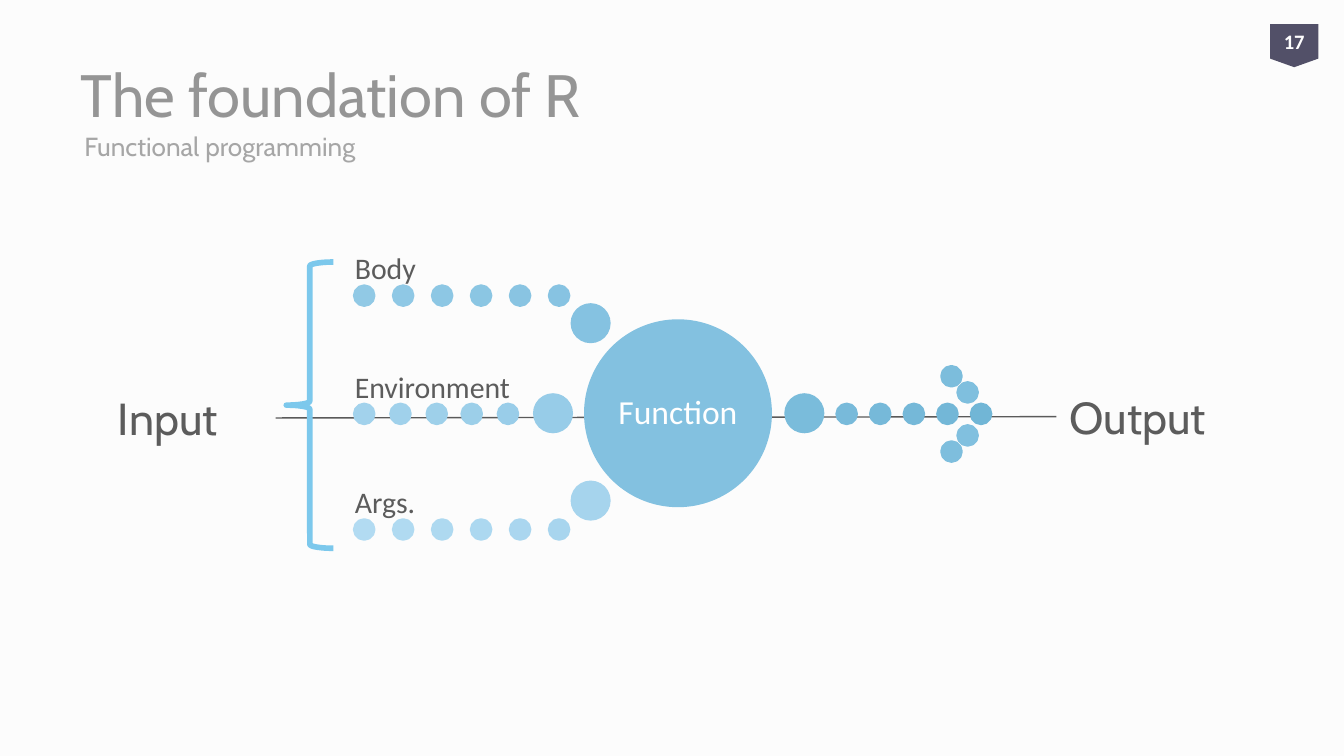
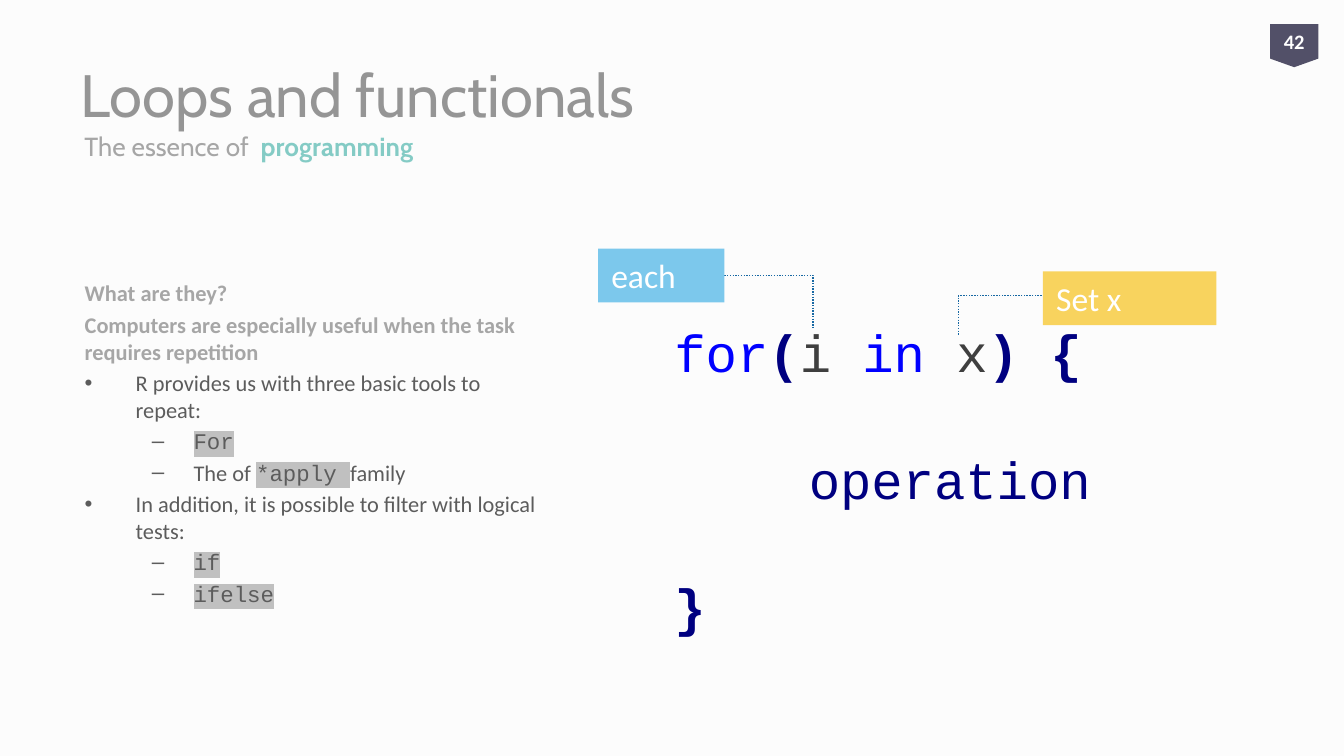
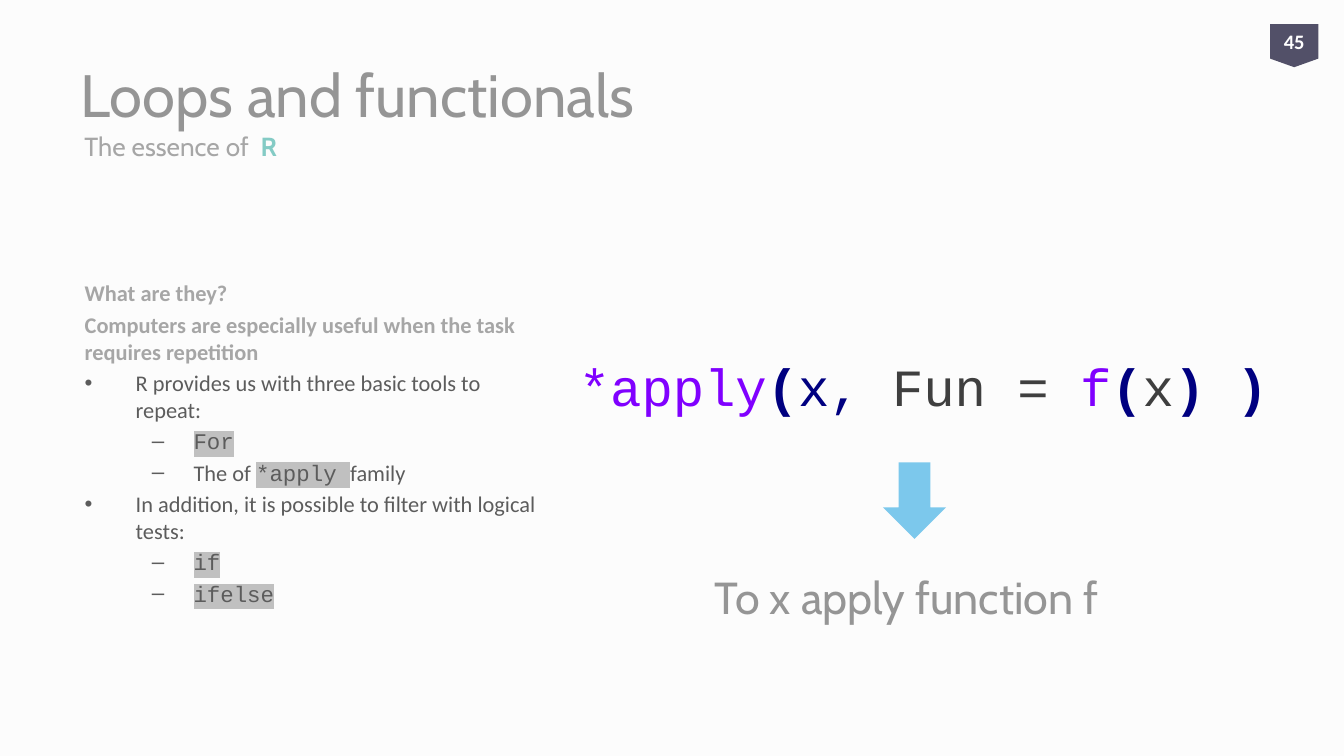
from dataclasses import dataclass
from typing import NamedTuple, Optional

from lxml.etree import SubElement
from pptx import Presentation
from pptx.dml.color import RGBColor
from pptx.enum.dml import MSO_LINE
from pptx.enum.shapes import MSO_CONNECTOR as Connector, MSO_SHAPE as Preset
from pptx.enum.text import MSO_ANCHOR as Anchor, MSO_AUTO_SIZE as AutoSize, PP_ALIGN as Align
from pptx.oxml.ns import qn
from pptx.util import Pt

EMU_PER_PX = 9144  # 100 px to the inch

BACKGROUND = RGBColor(0xFC, 0xFC, 0xFC)
WHITE = RGBColor(0xFF, 0xFF, 0xFF)
TITLE_GREY = RGBColor(0x95, 0x95, 0x95)
SOFT_GREY = RGBColor(0xA6, 0xA6, 0xA6)
TEXT_GREY = RGBColor(0x5C, 0x5C, 0x5C)
LINE_GREY = RGBColor(0x5A, 0x5A, 0x5A)
MARK_GREY = RGBColor(0xC0, 0xC0, 0xC0)
TEAL = RGBColor(0x84, 0xCB, 0xC5)
TAG_PURPLE = RGBColor(0x52, 0x50, 0x68)
SKY = RGBColor(0x7C, 0xC8, 0xEC)
YELLOW = RGBColor(0xF8, 0xD3, 0x5E)
CALLOUT_BLUE = RGBColor(0x17, 0x68, 0xA3)
KEYWORD = RGBColor(0x00, 0x00, 0xFF)
NAVY = RGBColor(0x00, 0x00, 0x80)
VIOLET = RGBColor(0x80, 0x00, 0xFF)
CODE_GREY = RGBColor(0x3F, 0x3F, 0x3F)
DOT_DARK = RGBColor(0x71, 0xB6, 0xD6)
DOT_MIDDLE = RGBColor(0x83, 0xC1, 0xE0)
DOT_LIGHT = RGBColor(0xB2, 0xDB, 0xF2)
MIDDLE_STEP, LAST_STEP = 10, 33

HEADING_FONT = "Cabin"
BODY_FONT = "Calibri"
CODE_FONT = "Courier New"
CODE_LINE = Pt(34)
CODE_TAB = 100
SMALL_DOT, LARGE_DOT = 14, 27


class Box(NamedTuple):
    left: int
    top: int
    width: int
    height: int


class Token(NamedTuple):
    text: str
    color: RGBColor
    bold: bool = False


class Dot(NamedTuple):
    left: int
    top: int
    size: int
    step: int


@dataclass
class DotRow:
    first_left: int
    last_left: int
    top: int
    count: int
    step: int

    def dots(self) -> list[Dot]:
        """Evenly spaced dots, from right to left, each one step lighter."""
        gap = (self.last_left - self.first_left) / (self.count - 1)
        return [Dot(round(self.last_left - gap * i), self.top, SMALL_DOT, self.step + i)
                for i in range(self.count)]


@dataclass
class Branch:
    label: str
    joint: Dot
    row: DotRow


class ListItem(NamedTuple):
    words: list[tuple[str, bool]]  # text, is code
    level: int


class Callout(NamedTuple):
    text: str
    box: Box
    fill: RGBColor
    start: tuple[int, int]
    end: tuple[int, int]


BRANCHES = [
    Branch("Body", Dot(426, 227, LARGE_DOT, 11), DotRow(264, 409, 213, 6, 12)),
    Branch("Environment", Dot(398, 294, LARGE_DOT, 20), DotRow(264, 371, 301, 5, 21)),
    Branch("Args.", Dot(426, 359, LARGE_DOT, 27), DotRow(264, 409, 387, 6, 28)),
]
OUTPUT_DOTS = DotRow(623, 723, 301, 5, 0).dots() + [
    Dot(585, 294, LARGE_DOT, 5),
    Dot(701, 273, SMALL_DOT, 6),
    Dot(701, 329, SMALL_DOT, 7),
    Dot(713, 285, SMALL_DOT, 8),
    Dot(713, 317, SMALL_DOT, 9),
]
FUNCTION_DOT = Dot(436, 239, 137, MIDDLE_STEP)

LIST_HEADINGS = ["What are they?",
                 "Computers are especially useful when the task requires repetition"]
LIST_ITEMS = [
    ListItem([("R provides us with three basic tools to repeat:", False)], 0),
    ListItem([("For", True)], 1),
    ListItem([("The of ", False), ("*apply ", True), ("family", False)], 1),
    ListItem([("In addition, it is possible to filter with logical tests:", False)], 0),
    ListItem([("if", True)], 1),
    ListItem([("ifelse", True)], 1),
]
BULLETS = [("•", 38, 38), ("–", 81, 31)]  # character, text margin, hang

CALLOUTS = [
    Callout("each", Box(445, 185, 94, 40), SKY, (500, 205), (605, 245)),
    Callout("Set x", Box(776, 202, 129, 40), YELLOW, (818, 220), (713, 250)),
]
FOR_LOOP = [
    [Token("for", KEYWORD), Token("(", NAVY, True), Token("i ", CODE_GREY),
     Token("in ", KEYWORD), Token("x", CODE_GREY), Token(") {", NAVY, True)],
    [Token("\toperation", NAVY)],
    [Token("}", NAVY, True)],
]
APPLY_CALL = [
    [Token("*apply", VIOLET), Token("(", NAVY, True), Token("x, ", NAVY),
     Token("Fun = ", CODE_GREY), Token("f", VIOLET), Token("(", NAVY, True),
     Token("x", CODE_GREY), Token(") )", NAVY, True)],
]


def px(length: int) -> int:
    return length * EMU_PER_PX


def scaled(box: Box) -> list[int]:
    return [px(length) for length in box]


def dot_color(step: int) -> RGBColor:
    """Colour of one step on the way from the dark to the light blue."""
    if step <= MIDDLE_STEP:
        start, end, share = DOT_DARK, DOT_MIDDLE, step / MIDDLE_STEP
    else:
        start, end = DOT_MIDDLE, DOT_LIGHT
        share = (step - MIDDLE_STEP) / (LAST_STEP - MIDDLE_STEP)
    return RGBColor(*(round(a + (b - a) * share) for a, b in zip(start, end)))


def add_run(paragraph, text: str, *, size: int, color: RGBColor, font: str = BODY_FONT,
            bold: bool = False, highlight: Optional[RGBColor] = None) -> None:
    run = paragraph.add_run()
    run.text = text
    run.font.size = Pt(size)
    run.font.name = font
    run.font.bold = bold
    run.font.color.rgb = color
    if highlight is not None:
        properties = run.font._element
        mark = SubElement(properties, qn("a:highlight"))
        SubElement(mark, qn("a:srgbClr"), val=str(highlight))
        properties.find(qn("a:latin")).addprevious(mark)


def set_frame(shape, anchor: Anchor, inset: Optional[int] = None, wrap: bool = True):
    frame = shape.text_frame
    frame.auto_size = AutoSize.NONE
    frame.word_wrap = wrap
    frame.vertical_anchor = anchor
    if inset is not None:
        frame.margin_left = frame.margin_right = px(inset)
        frame.margin_top = frame.margin_bottom = px(inset)
    return frame


def add_text(slide, box: Box, text: str, *, anchor: Anchor = Anchor.MIDDLE,
             inset: Optional[int] = None, line_spacing: Optional[float] = None, **run_format):
    shape = slide.shapes.add_textbox(*scaled(box))
    paragraph = set_frame(shape, anchor, inset).paragraphs[0]
    paragraph.line_spacing = line_spacing
    add_run(paragraph, text, **run_format)
    return shape


def add_filled(slide, preset: Preset, box: Box, fill: RGBColor, outlined: bool = False):
    shape = slide.shapes.add_shape(preset, *scaled(box))
    shape.shadow.inherit = False
    shape.fill.solid()
    shape.fill.fore_color.rgb = fill
    if outlined:
        shape.line.color.rgb = fill
        shape.line.width = Pt(2)
    else:
        shape.line.fill.background()
    return shape


def add_line(slide, kind: Connector, start: tuple[int, int], end: tuple[int, int],
             color: RGBColor):
    connector = slide.shapes.add_connector(kind, *(px(length) for length in start + end))
    connector.line.color.rgb = color
    connector.line.width = Pt(0.75)
    SubElement(connector._element.spPr, qn("a:effectLst"))
    return connector


def add_dot(slide, dot: Dot):
    box = Box(dot.left, dot.top, dot.size, dot.size)
    return add_filled(slide, Preset.OVAL, box, dot_color(dot.step), outlined=True)


def add_base_slide(presentation, layout: int, title: str, subtitle: str, number: int,
                   accent: str = ""):
    """Slide with title, subtitle and page tag."""
    slide = presentation.slides.add_slide(presentation.slide_layouts[layout])
    heading = slide.shapes.title
    heading.left, heading.top, heading.width, heading.height = scaled(Box(50, 23, 900, 94))
    paragraph = set_frame(heading, Anchor.MIDDLE).paragraphs[0]
    paragraph.alignment = Align.LEFT
    add_run(paragraph, title, size=32, color=TITLE_GREY, font=HEADING_FONT)

    line = add_text(slide, Box(53, 89, 900, 40), subtitle, size=14, color=SOFT_GREY,
                    font=HEADING_FONT)
    if accent:
        add_run(line.text_frame.paragraphs[0], accent, size=14, color=TEAL,
                font=HEADING_FONT, bold=True)

    tag = add_filled(slide, Preset.FLOWCHART_OFFPAGE_CONNECTOR, Box(945, 18, 36, 32), TAG_PURPLE)
    paragraph = set_frame(tag, Anchor.MIDDLE, inset=0, wrap=False).paragraphs[0]
    paragraph.alignment = Align.CENTER
    add_run(paragraph, str(number), size=11, color=WHITE, bold=True)
    return slide


def set_bullet(paragraph, level: int) -> None:
    character, margin, hang = BULLETS[level]
    paragraph.level = level
    properties = paragraph._p.get_or_add_pPr()
    properties.set("marL", str(px(margin)))
    properties.set("indent", str(-px(hang)))
    SubElement(properties, qn("a:buChar"), char=character)


def remove_bullet(paragraph) -> None:
    properties = paragraph._p.get_or_add_pPr()
    properties.set("marL", "0")
    properties.set("indent", "0")
    SubElement(properties, qn("a:buNone"))


def fill_tools_list(slide) -> None:
    body = slide.placeholders[1]
    body.left, body.top, body.width, body.height = scaled(Box(53, 203, 366, 307))
    frame = set_frame(body, Anchor.TOP)
    for index, heading in enumerate(LIST_HEADINGS):
        paragraph = frame.add_paragraph() if index else frame.paragraphs[0]
        remove_bullet(paragraph)
        paragraph.space_before = Pt(2.4 if index else 0)
        add_run(paragraph, heading, size=12, color=SOFT_GREY, bold=True)
    for item in LIST_ITEMS:
        paragraph = frame.add_paragraph()
        set_bullet(paragraph, item.level)
        paragraph.space_before = Pt(2.4)
        for text, is_code in item.words:
            add_run(paragraph, text, size=12, color=TEXT_GREY,
                    font=CODE_FONT if is_code else BODY_FONT,
                    highlight=MARK_GREY if is_code else None)


def add_code(slide, box: Box, lines: list[list[Token]]) -> None:
    """Code with one free line between its lines."""
    frame = set_frame(slide.shapes.add_textbox(*scaled(box)), Anchor.TOP)
    for index, tokens in enumerate(lines):
        paragraph = frame.add_paragraph() if index else frame.paragraphs[0]
        tabs = SubElement(paragraph._p.get_or_add_pPr(), qn("a:tabLst"))
        SubElement(tabs, qn("a:tab"), pos=str(px(CODE_TAB)), algn="l")
        paragraph.line_spacing = CODE_LINE
        paragraph.space_before = CODE_LINE if index else Pt(0)
        for token in tokens:
            add_run(paragraph, token.text, size=28, color=token.color, font=CODE_FONT,
                    bold=token.bold)


def add_callout(slide, callout: Callout) -> None:
    leader = add_line(slide, Connector.ELBOW, callout.start, callout.end, CALLOUT_BLUE)
    leader.line.dash_style = MSO_LINE.ROUND_DOT
    adjustments = leader._element.spPr.find(qn("a:prstGeom")).find(qn("a:avLst"))
    SubElement(adjustments, qn("a:gd"), name="adj1", fmla="val 100000")
    label = add_filled(slide, Preset.RECTANGLE, callout.box, callout.fill)
    paragraph = set_frame(label, Anchor.TOP).paragraphs[0]
    paragraph.alignment = Align.LEFT
    add_run(paragraph, callout.text, size=18, color=WHITE)


def build_foundation(presentation) -> None:
    slide = add_base_slide(presentation, 5, "The foundation of R", "Functional programming", 17)
    source, target = (
        add_text(slide, Box(left, top, 127, 58), text, size=24, color=TEXT_GREY,
                 font=HEADING_FONT)
        for text, left, top in (("Input", 78, 282), ("Output", 786, 281)))
    axis = add_line(slide, Connector.STRAIGHT, (205, 311), (786, 310), LINE_GREY)
    axis.begin_connect(source, 3)
    axis.end_connect(target, 1)

    for dot in OUTPUT_DOTS:
        add_dot(slide, dot)
    circle = add_dot(slide, FUNCTION_DOT)
    paragraph = set_frame(circle, Anchor.MIDDLE, inset=3).paragraphs[0]
    paragraph.alignment = Align.CENTER
    paragraph.line_spacing = 0.9
    add_run(paragraph, "Function", size=18, color=WHITE)

    for branch in BRANCHES:
        row = branch.row
        for dot in [branch.joint] + row.dots():
            add_dot(slide, dot)
        width = row.last_left + SMALL_DOT - row.first_left
        add_text(slide, Box(row.first_left, row.top - 35, width, 35), branch.label,
                 anchor=Anchor.BOTTOM, inset=0, line_spacing=0.9, size=16, color=TEXT_GREY)

    brace = slide.shapes.add_shape(Preset.LEFT_BRACE, *scaled(Box(213, 195, 35, 213)))
    brace.shadow.inherit = False
    brace.fill.background()
    brace.line.color.rgb = SKY
    brace.line.width = Pt(3)


def build_loops(presentation) -> None:
    slide = add_base_slide(presentation, 1, "Loops and functionals", "The essence of  ", 42,
                           accent="programming")
    fill_tools_list(slide)
    add_code(slide, Box(492, 233, 472, 246), FOR_LOOP)
    for callout in CALLOUTS:
        add_callout(slide, callout)


def build_apply(presentation) -> None:
    slide = add_base_slide(presentation, 1, "Loops and functionals", "The essence of  ", 45,
                           accent="R")
    fill_tools_list(slide)
    add_code(slide, Box(421, 258, 546, 57), APPLY_CALL)
    add_text(slide, Box(522, 415, 318, 58), "To x apply function f", size=24,
             color=TITLE_GREY, font=HEADING_FONT)
    add_filled(slide, Preset.DOWN_ARROW, Box(657, 344, 47, 57), SKY)


def main() -> None:
    presentation = Presentation()
    presentation.slide_width = px(1000)
    presentation.slide_height = px(1000) * 9 // 16
    background = presentation.slide_master.background.fill
    background.solid()
    background.fore_color.rgb = BACKGROUND
    build_foundation(presentation)
    build_loops(presentation)
    build_apply(presentation)
    presentation.save("out.pptx")


if __name__ == "__main__":
    main()
